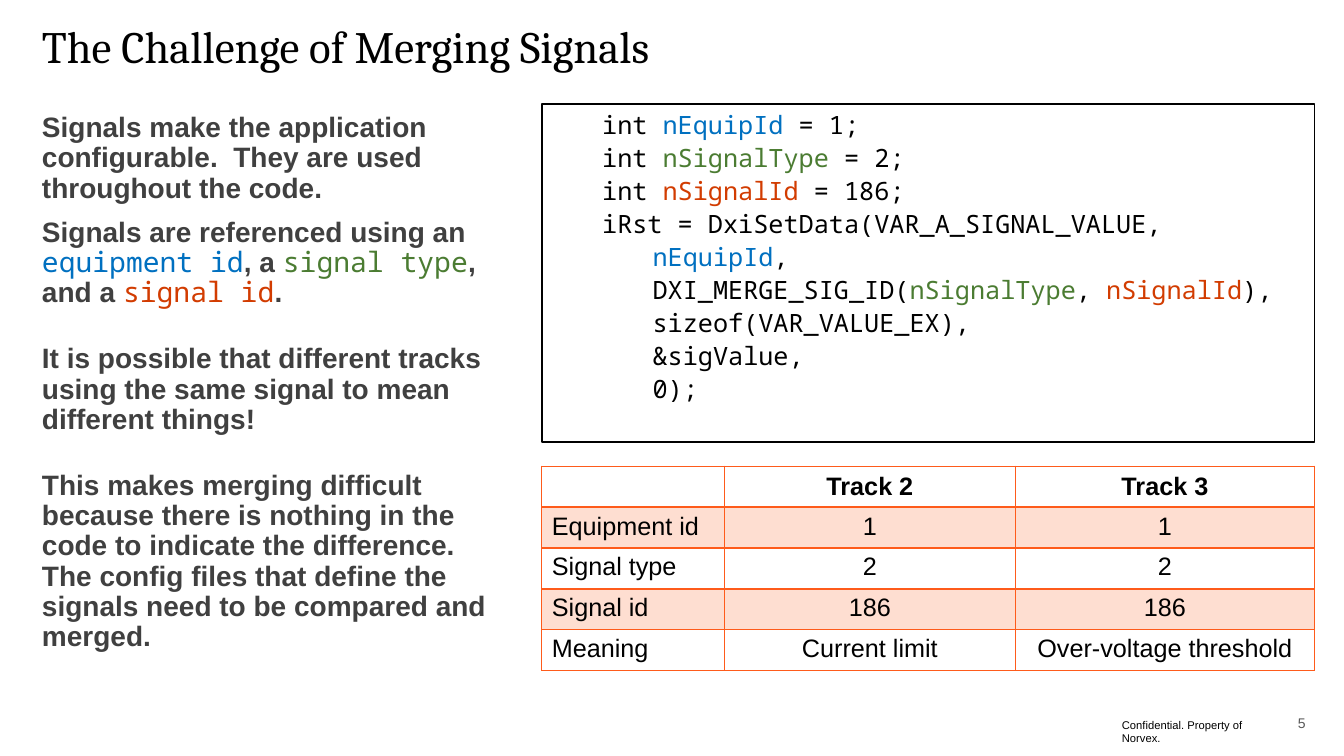
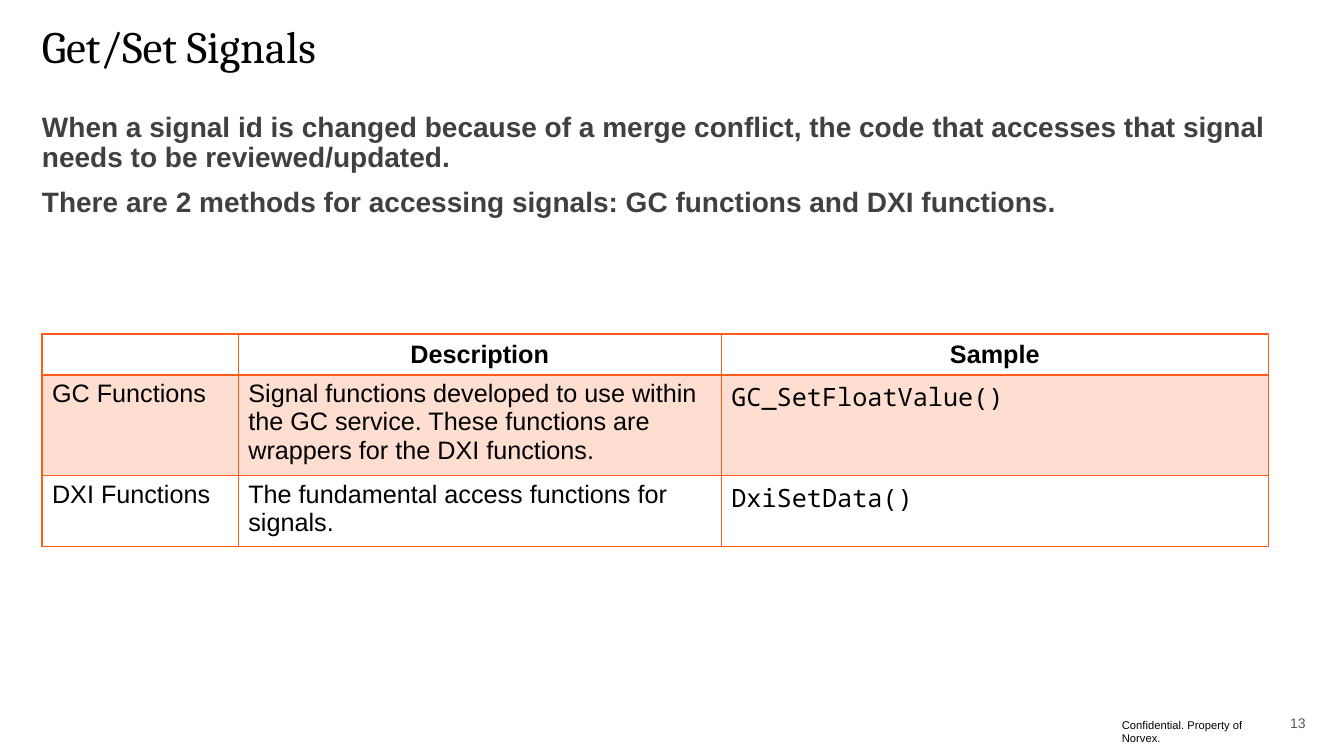
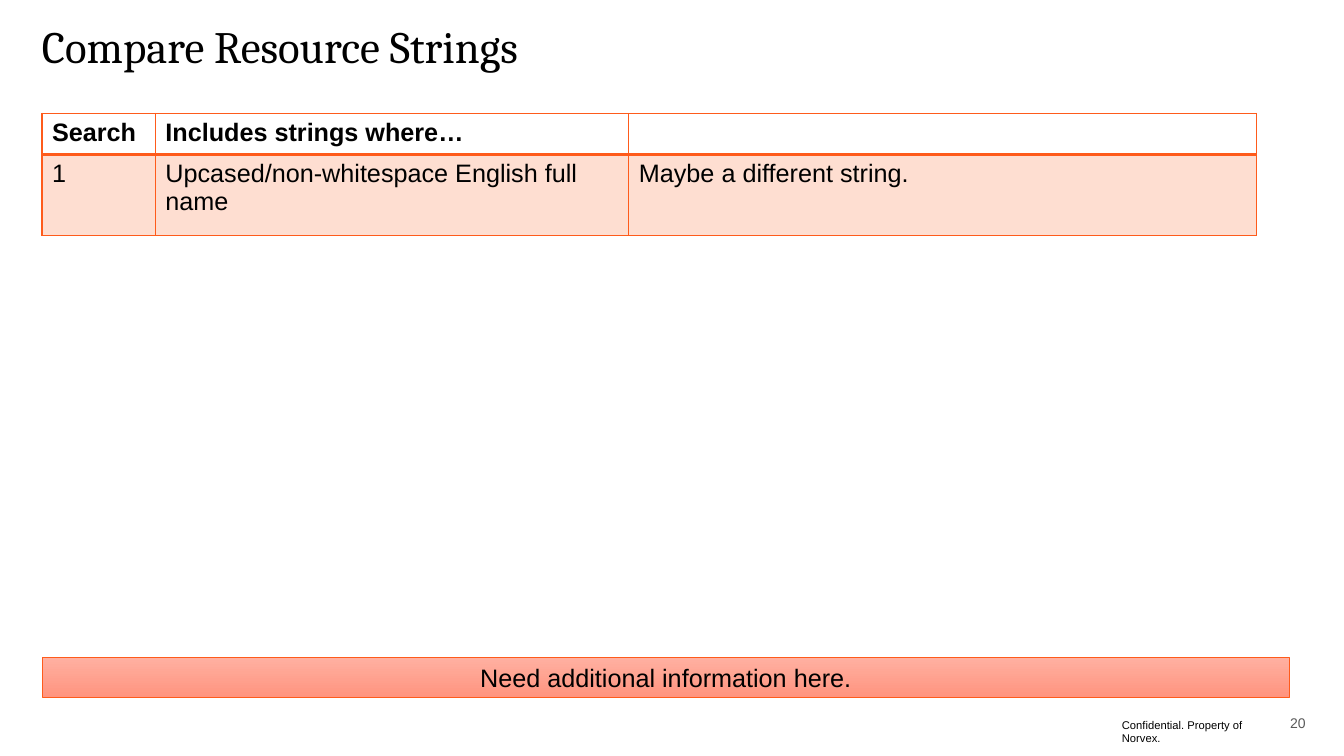
import pptx
import pptx.util
import pptx.dml.color
import pptx.enum.shapes
import pptx.enum.text
import pptx.oxml
import pptx.oxml.ns

PX = 9525  # EMU in one px, so a slide is 1280 x 720 px
INK = {
    "black": "000000", "white": "FFFFFF", "text": "404040", "page": "595959",
    "blue": "0070C0", "green": "4B7C32", "red": "D23C01",
    "orange": "FE5B1B", "light": "FFB0A1", "deep": "FF947F",
}
SANS, SERIF, MONO = "Arial", "Cambria", "Noto Sans Mono"
ALIGN = pptx.enum.text.PP_ALIGN
ANCHOR = pptx.enum.text.MSO_ANCHOR
LEFT = 40


def px(size):
    return pptx.util.Emu(size * PX)


def rgb(name):
    return pptx.dml.color.RGBColor.from_string(INK[name])


class Deck:
    def __init__(self):
        self.show = pptx.Presentation()
        self.show.slide_width, self.show.slide_height = px(1280), px(720)
        self.slide = None

    def page(self, title, number):
        """Start a slide with its title, footer and page number."""
        self.slide = self.show.slides.add_slide(self.show.slide_layouts[6])
        foot = self.box(1059, 679, 169, 23)
        foot.word_wrap = False
        self.say(foot, ["Confidential. Property of Norvex."], size=8)
        head = self.box(LEFT, 17, 1200, 59, inset=False, anchor=ANCHOR.MIDDLE)
        self.say(head, [title], size=32, font=SERIF, lead=0.9)
        corner = self.box(1200, 678, 53, 21, anchor=ANCHOR.MIDDLE)
        self.say(corner, [str(number)], size=10, hue="page", align=ALIGN.RIGHT)

    def box(self, x, y, wide, high, inset=True, anchor=ANCHOR.TOP):
        shape = self.slide.shapes.add_textbox(px(x), px(y), px(wide), px(high))
        frame = shape.text_frame
        frame.word_wrap = True
        frame.vertical_anchor = anchor
        if not inset:
            frame.margin_left = frame.margin_right = 0
            frame.margin_top = frame.margin_bottom = 0
        return frame

    def say(self, frame, runs, size=18, hue="black", font=SANS, bold=False,
            align=ALIGN.LEFT, lead=None, before=0, indent=0):
        """Add a paragraph; a (text, colour) run is set as code."""
        para = frame.paragraphs[0]
        if para.runs:
            para = frame.add_paragraph()
        para.alignment = align
        para.space_before = pptx.util.Pt(before)
        if lead:
            para.line_spacing = lead
        if indent:
            para._p.get_or_add_pPr().set("marL", str(px(indent)))
        for item in runs:
            code = isinstance(item, tuple)
            text, tint = item if code else (item, hue)
            run = para.add_run()
            run.text = text
            run.font.size = pptx.util.Pt(size)
            run.font.name = MONO if code else font
            run.font.bold = bold and not code
            run.font.color.rgb = rgb(tint)

    def body(self, wide, high, paras):
        frame = self.box(LEFT, 108, wide, high, inset=False)
        for before, runs in paras:
            self.say(frame, runs, size=20, hue="text", bold=True,
                     lead=0.9, before=before)

    def rect(self, x, y, wide, high, line, weight):
        shape = self.slide.shapes.add_shape(
            pptx.enum.shapes.MSO_SHAPE.RECTANGLE, px(x), px(y), px(wide), px(high))
        shape.shadow.inherit = False
        shape.line.color.rgb = rgb(line)
        shape.line.width = pptx.util.Pt(weight)
        return shape

    def panel(self, x, y, wide, high, lines):
        """Draw a framed code listing of (depth, runs) lines."""
        shape = self.rect(x, y, wide, high, "black", 1)
        shape.fill.solid()
        shape.fill.fore_color.rgb = rgb("white")
        shape.text_frame.vertical_anchor = ANCHOR.TOP
        for depth, runs in lines:
            self.say(shape.text_frame, runs, font=MONO, before=2, indent=48 * depth)

    def banner(self, x, y, wide, high, text):
        shape = self.rect(x, y, wide, high, "orange", 0.5)
        shape.fill.gradient()
        shape.fill.gradient_angle = 270
        for stop, name in zip(shape.fill.gradient_stops, ("light", "deep")):
            stop.color.rgb = rgb(name)
        self.say(shape.text_frame, [text], align=ALIGN.CENTER)

    def edge(self, cell, side, weight):
        cell._tc.get_or_add_tcPr().append(pptx.oxml.parse_xml(
            f'<a:ln{side} {pptx.oxml.ns.nsdecls("a")} w="{pptx.util.Pt(weight)}">'
            f'<a:solidFill><a:srgbClr val="{INK["orange"]}"/></a:solidFill>'
            f'</a:ln{side}>'))

    def tint(self, cell):
        cell.fill.solid()
        cell.fill.fore_color.rgb = rgb("orange")
        fill = cell._tc.tcPr.find(pptx.oxml.ns.qn("a:solidFill"))
        fill[0].append(pptx.oxml.parse_xml(
            f'<a:alpha {pptx.oxml.ns.nsdecls("a")} val="20000"/>'))

    def table(self, x, y, cols, rows, data, head=ALIGN.CENTER, cells=ALIGN.LEFT):
        """Draw a bold header row, then rows banded from the first one."""
        grid = self.slide.shapes.add_table(
            len(rows), len(cols), px(x), px(y), px(sum(cols)), px(sum(rows))).table
        grid.first_row = grid.horz_banding = False
        for col, wide in zip(grid.columns, cols):
            col.width = px(wide)
        for r, (high, line) in enumerate(zip(rows, data)):
            grid.rows[r].height = px(high)
            for c, item in enumerate(line):
                cell = grid.cell(r, c)
                for side in "LRTB":
                    rule = (r, side) in ((0, "B"), (1, "T"))
                    self.edge(cell, side, 2 if rule else 1)
                if r % 2:
                    self.tint(cell)
                else:
                    cell.fill.background()
                if r == 0 and head == ALIGN.CENTER:
                    cell.vertical_anchor = ANCHOR.MIDDLE
                if item:
                    align = head if r == 0 else cells if c else ALIGN.LEFT
                    self.say(cell.text_frame, [item], bold=r == 0, align=align)


def main():
    deck = Deck()

    # Merging signals
    deck.page("The Challenge of Merging Signals", 5)
    deck.body(440, 540, [
        (10, ["Signals make the application configurable.  They are used "
              "throughout the code."]),
        (10, ["Signals are referenced using an ", ("equipment id", "blue"), ", a ",
              ("signal type", "green"), ", and a ", ("signal id", "red"), "."]),
        (25.6, ["It is possible that different tracks using the same signal to "
                "mean different things!"]),
        (25.6, ["This makes merging difficult because there is nothing in the code "
                "to indicate the difference.  The config files that define the "
                "signals need to be compared and merged."]),
    ])
    deck.table(516, 444, [174, 277, 285], [39] * 5, [
        ["", "Track 2", "Track 3"],
        ["Equipment id", "1", "1"],
        ["Signal type", "2", "2"],
        ["Signal id", "186", "186"],
        ["Meaning", "Current limit", "Over-voltage threshold"],
    ], cells=ALIGN.CENTER)
    equip, kind, signal = (("nEquipId", "blue"), ("nSignalType", "green"),
                           ("nSignalId", "red"))
    deck.panel(516, 99, 736, 322, [
        (1, ["int ", equip, " = 1;"]),
        (1, ["int ", kind, " = 2;"]),
        (1, ["int ", signal, " = 186;"]),
        (1, ["iRst = DxiSetData(VAR_A_SIGNAL_VALUE,"]),
        (2, [equip, ","]),
        (2, ["DXI_MERGE_SIG_ID(", kind, ", ", signal, "),"]),
        (2, ["sizeof(VAR_VALUE_EX),"]),
        (2, ["&sigValue,"]),
        (2, ["0);"]),
    ])

    # Get and set
    deck.page("Get/Set Signals", 13)
    deck.body(1200, 126, [
        (10, ["When a signal id is changed because of a merge conflict, the code "
              "that accesses that signal needs to be reviewed/updated."]),
        (10, ["There are 2 methods for accessing signals: GC functions and DXI "
              "functions."]),
    ])
    deck.table(LEFT, 318, [187, 460, 521], [39, 90, 63], [
        ["", "Description", "Sample"],
        ["GC Functions", "Signal functions developed to use within the GC service. "
         "These functions are wrappers for the DXI functions.",
         ("GC_SetFloatValue()", "black")],
        ["DXI Functions", "The fundamental access functions for signals.",
         ("DxiSetData()", "black")],
    ])

    # Resource strings
    deck.page("Compare Resource Strings", 20)
    deck.table(LEFT, 108, [108, 451, 598], [39, 77], [
        ["Search", "Includes strings where…", ""],
        ["1", "Upcased/non-whitespace English full name", "Maybe a different string."],
    ], head=ALIGN.LEFT)
    deck.banner(LEFT, 626, 1188, 38, "Need additional information here.")

    deck.show.save("out.pptx")


if __name__ == "__main__":
    main()
